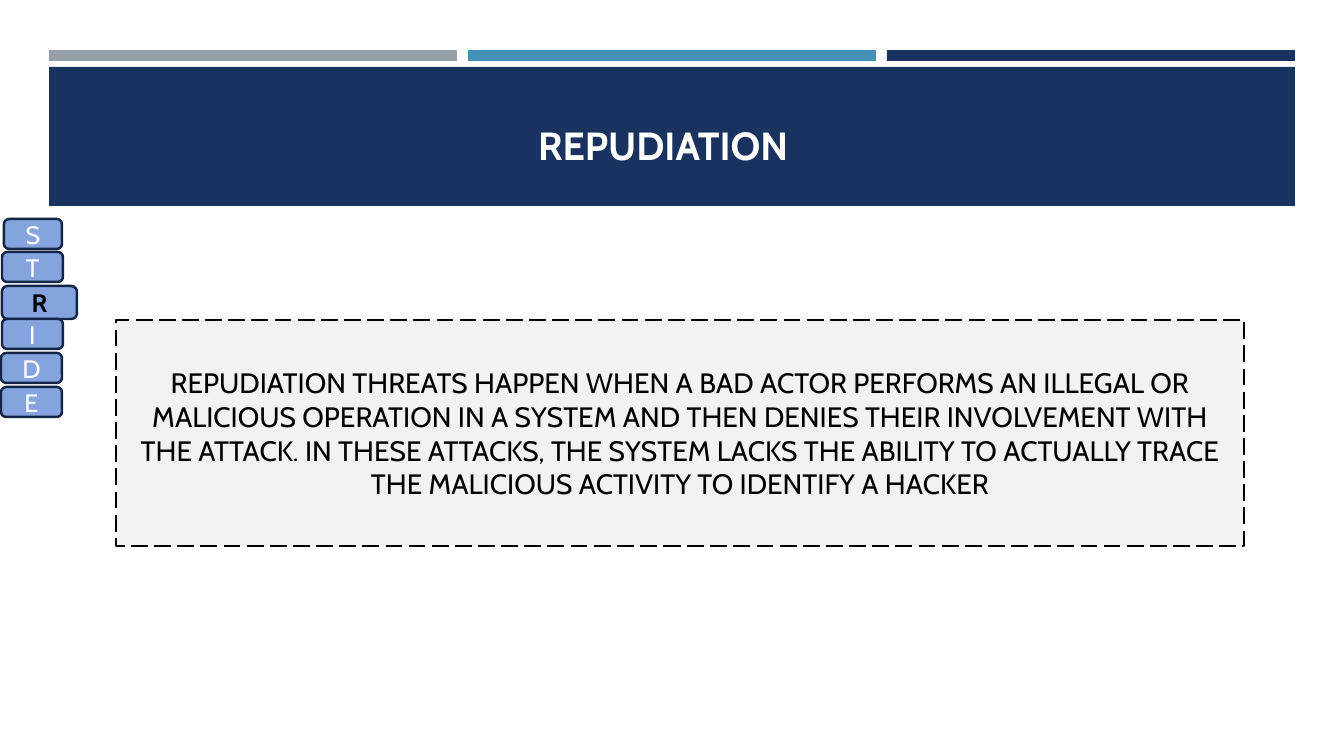
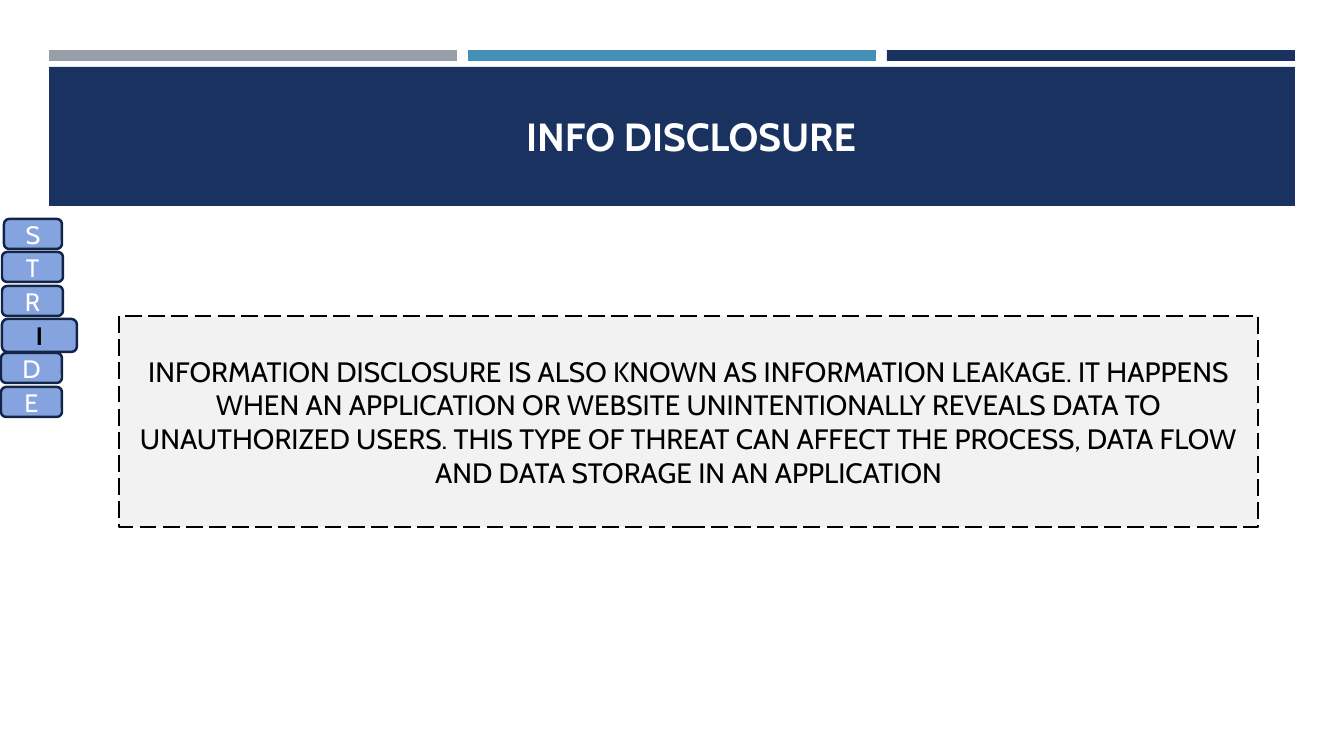
"""Build two STRIDE threat slides: repudiation and information disclosure."""
import pptx
import pptx.util
import pptx.dml.color
import pptx.enum.dml
import pptx.enum.shapes
import pptx.enum.text

PX = 914400 / 100.8
WIDE, HIGH = 1344, 756
FONT = "Cabin"
HUES = {
    "navy": "1A3260", "gray": "969FA7", "blue": "4590B8", "tab": "85A3DE",
    "edge": "132547", "pale": "F2F2F2", "white": "FFFFFF", "black": "000000",
}
SHAPE = pptx.enum.shapes.MSO_SHAPE
ALIGN = pptx.enum.text.PP_ALIGN
ANCHOR = pptx.enum.text.MSO_ANCHOR
DASH = pptx.enum.dml.MSO_LINE.LONG_DASH

BARS = ["gray", "blue", "navy"]
TABS = [("S", 4, 58), ("T", 2, 61), ("R", 2, 61), ("I", 2, 61), ("D", 1, 61), ("E", 1, 61)]
SLIDES = [
    {
        "title": "REPUDIATION", "spot": (483, 64, 315, 109),
        "tab": "R", "box": (116, 320, 1128, 226),
        "body": "REPUDIATION THREATS HAPPEN WHEN A BAD ACTOR PERFORMS AN ILLEGAL OR "
                "MALICIOUS OPERATION IN A SYSTEM AND THEN DENIES THEIR INVOLVEMENT WITH "
                "THE ATTACK. IN THESE ATTACKS, THE SYSTEM LACKS THE ABILITY TO ACTUALLY "
                "TRACE THE MALICIOUS ACTIVITY TO IDENTIFY A HACKER",
    },
    {
        "title": "INFO DISCLOSURE", "spot": (345, 55, 521, 109),
        "tab": "I", "box": (119, 316, 1139, 211),
        "body": "INFORMATION DISCLOSURE IS ALSO KNOWN AS INFORMATION LEAKAGE. IT HAPPENS "
                "WHEN AN APPLICATION OR WEBSITE UNINTENTIONALLY REVEALS DATA TO "
                "UNAUTHORIZED USERS. THIS TYPE OF THREAT CAN AFFECT THE PROCESS, DATA "
                "FLOW AND DATA STORAGE IN AN APPLICATION",
    },
]


def emu(px):
    return pptx.util.Emu(round(px * PX))


def rgb(hue):
    return pptx.dml.color.RGBColor.from_string(HUES[hue])


def write(shape, text, size=20, hue="black", bold=False, align=ALIGN.CENTER,
          anchor=ANCHOR.MIDDLE, pad=5):
    frame = shape.text_frame
    frame.word_wrap = True
    frame.vertical_anchor = anchor
    frame.margin_left = frame.margin_right = emu(10)
    frame.margin_top = frame.margin_bottom = emu(pad)
    line = frame.paragraphs[0]
    line.alignment = align
    run = line.add_run()
    run.text = text
    run.font.name = FONT
    run.font.size = pptx.util.Pt(size)
    run.font.bold = bold
    run.font.color.rgb = rgb(hue)


def block(slide, spot, fill, kind=SHAPE.RECTANGLE, edge=None, width=1.5, dash=None):
    shape = slide.shapes.add_shape(kind, *map(emu, spot))
    shape.shadow.inherit = False
    shape.fill.solid()
    shape.fill.fore_color.rgb = rgb(fill)
    if edge:
        shape.line.color.rgb = rgb(edge)
        shape.line.width = pptx.util.Pt(width)
        if dash:
            shape.line.dash_style = dash
    else:
        shape.line.fill.background()
    return shape


def header(slide, title, spot):
    for i, hue in enumerate(BARS):
        block(slide, (49 + 419 * i, 50, 408, 11), hue)
    block(slide, (49, 67, 1246, 139), "navy")
    write(slide.shapes.add_textbox(*map(emu, spot)), title, size=28, hue="white",
          bold=True, align=ALIGN.RIGHT, anchor=ANCHOR.BOTTOM)


def tabs(slide, active):
    for i, (mark, left, wide) in enumerate(TABS):
        on = mark == active
        size = (75, 33) if on else (wide, 30)
        tab = block(slide, (left, 219 + 168 * i // 5, *size), "tab",
                    kind=SHAPE.ROUNDED_RECTANGLE, edge="edge", width=1.75)
        write(tab, mark, size=18, hue="black" if on else "white", bold=on, pad=0)


def main():
    deck = pptx.Presentation()
    deck.slide_width, deck.slide_height = emu(WIDE), emu(HIGH)
    for item in SLIDES:
        slide = deck.slides.add_slide(deck.slide_layouts[6])
        header(slide, item["title"], item["spot"])
        tabs(slide, item["tab"])
        box = block(slide, item["box"], "pale", edge="black", dash=DASH)
        write(box, item["body"])
    deck.save("out.pptx")


if __name__ == "__main__":
    main()
